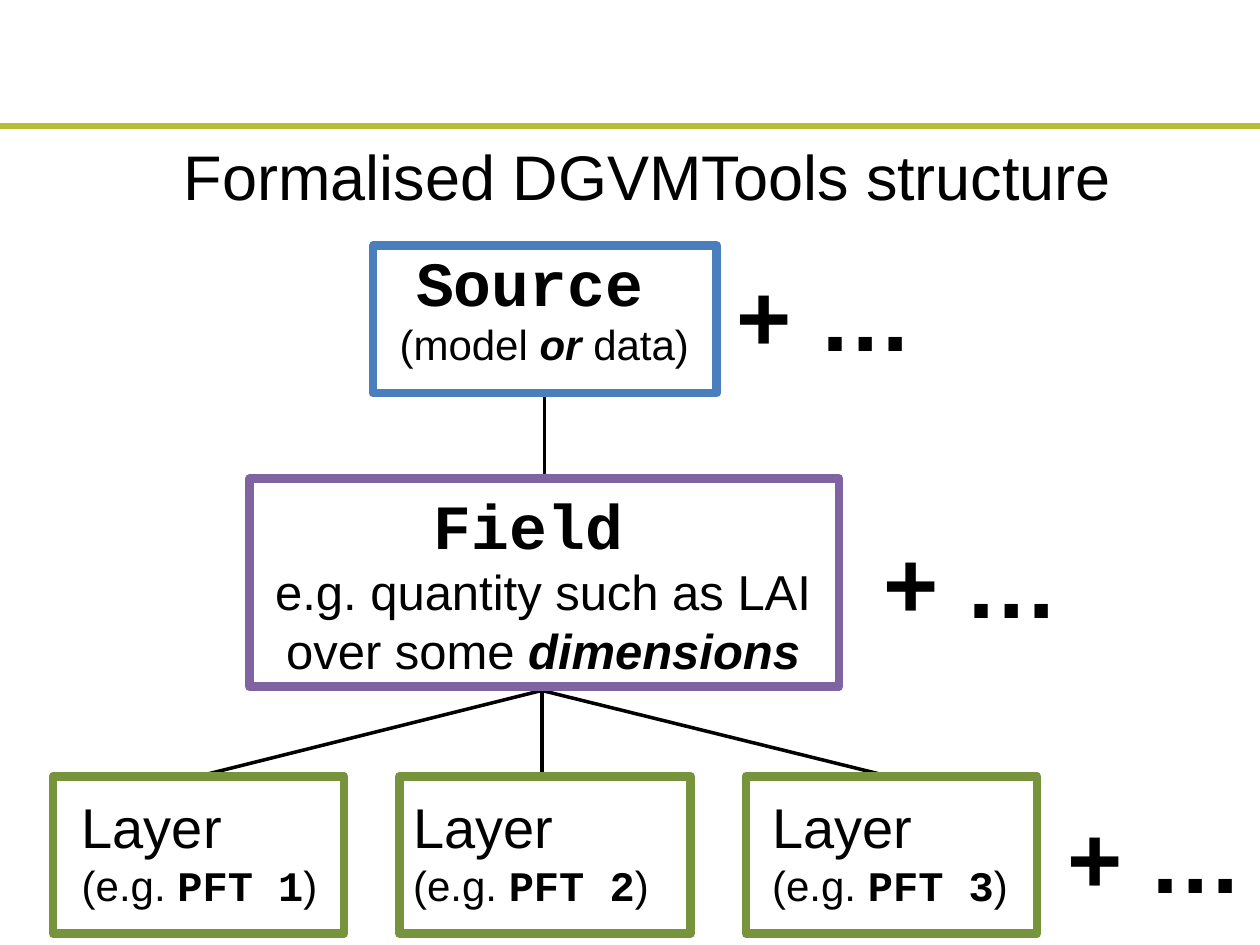
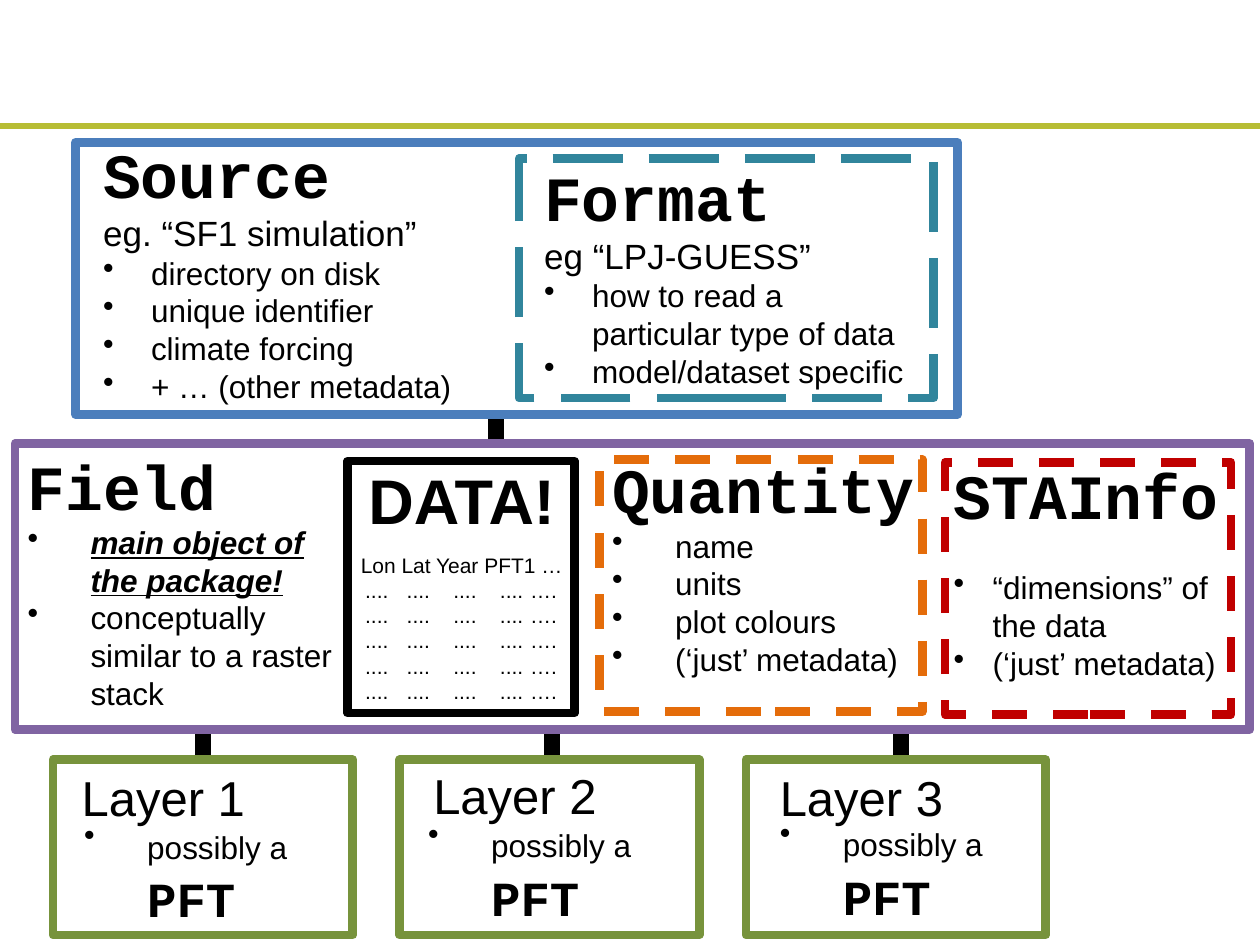
from lxml import etree
from pptx import Presentation
from pptx.dml.color import RGBColor
from pptx.enum.dml import MSO_LINE
from pptx.enum.shapes import MSO_CONNECTOR, MSO_SHAPE
from pptx.enum.text import MSO_AUTO_SIZE, PP_ALIGN
from pptx.oxml.ns import qn
from pptx.util import Inches, Pt

STRAIGHT = MSO_CONNECTOR.STRAIGHT
RECTANGLE = MSO_SHAPE.RECTANGLE
DASH, LONG_DASH = MSO_LINE.DASH, MSO_LINE.LONG_DASH
GROW = MSO_AUTO_SIZE.SHAPE_TO_FIT_TEXT
CENTER, LEFT = PP_ALIGN.CENTER, PP_ALIGN.LEFT

SANS, MONO = "Arial", "Courier New"
BLACK, BAND = "000000", "B7BD34"
SOURCE, FIELD, LAYER = "4B7EBC", "8064A2", "77933C"
FORMAT, QUANTITY, STAINFO = "31859C", "E46C0A", "C00000"
DATA_TABS = (0.1, 0.43, 0.8, 1.17, 1.41)
BOX_WIDTH = 5


def set_color(color_format, hex_color):
    color_format.rgb = RGBColor.from_string(hex_color)


def add_text(slide, place, paragraphs):
    """Add a text box. A paragraph is (options, runs), a run is (text, size, flags).

    Flags: m monospaced, b bold, i italic, u underlined. The text "\\v" breaks a line.
    """
    box = slide.shapes.add_textbox(*map(Inches, place))
    frame = box.text_frame
    frame.word_wrap = True
    frame.auto_size = GROW
    for index, (options, runs) in enumerate(paragraphs):
        paragraph = frame.paragraphs[0] if index == 0 else frame.add_paragraph()
        paragraph.alignment = options.get("align", LEFT)
        paragraph.space_before = Pt(options.get("before", 0))
        properties = paragraph._p.get_or_add_pPr()
        if "bullet" in options:
            indent = Inches(options["bullet"])
            properties.set("marL", str(indent))
            properties.set("indent", str(-indent))
            etree.SubElement(properties, qn("a:buChar"), char="•")
        if "tabs" in options:
            tab_list = etree.SubElement(properties, qn("a:tabLst"))
            for position in options["tabs"]:
                etree.SubElement(tab_list, qn("a:tab"), pos=str(Inches(position)), algn="l")
        for text, size, flags in runs:
            if text == "\v":
                paragraph.add_line_break()
                continue
            run = paragraph.add_run()
            run.text = text
            run.font.size = Pt(size)
            run.font.name = MONO if "m" in flags else SANS
            run.font.bold = "b" in flags
            run.font.italic = "i" in flags
            run.font.underline = "u" in flags
            set_color(run.font.color, BLACK)


presentation = Presentation()
presentation.slide_width = Inches(10)
presentation.slide_height = Inches(7.5)
blank_layout = presentation.slide_layouts[6]

plain, centered = {}, {"align": CENTER}
wide_bullet, bullet, narrow_bullet = {"bullet": 0.5}, {"bullet": 0.38}, {"bullet": 0.31}

# Slide 1: the structure as a tree
tree_lines = [
    (4.3, 5.48, 7.09, 6.17, BLACK, 2),
    (4.3, 5.48, 1.58, 6.16, BLACK, 2),
    (4.3, 5.48, 4.3, 6.19, BLACK, 2),
    (4.32, 3.11, 4.32, 3.8, BLACK, 2),
]
tree_boxes = [
    (2.96, 1.95, 2.73, 1.17, SOURCE, None),
    (1.98, 3.8, 4.68, 1.65, FIELD, None),
]
tree_texts = [
    ((0.58, 1.04, 9.12, 0.71), [(centered, [("Formalised DGVMTools structure", 36, "")])]),
    ((2.76, 1.88, 3.12, 1.11), [(centered, [
        ("Source", 36, "mb"), (" ", 28, "m"), ("\v", 28, ""),
        ("(model ", 24, ""), ("or", 24, "bi"), (" data)", 24, "")])]),
    ((2.05, 3.81, 4.52, 1.65), [(centered, [
        ("Field", 36, "mb"), (" ", 28, "m"), ("\v", 28, ""),
        ("e.g. quantity such as LAI over some ", 28, ""), ("dimensions", 28, "bi")])]),
]
for left, top in ((5.75, 1.99), (6.91, 4.11), (8.37, 6.29)):
    tree_texts.append(((left, top, 2.08, 1.01), [(plain, [("+ …", 54, "b")])]))
for index, text_left in enumerate((0.55, 3.18, 6.03)):
    tree_boxes.append((0.42 + 2.75 * index, 6.16, 2.31, 1.25, LAYER, None))
    tree_texts.append(((text_left, 6.24, 2.21, 1.04), [
        (plain, [("Layer", 32, "")]),
        (plain, [("(e.g. ", 24, ""), (f"PFT {index + 1}", 24, "mb"), (")", 24, "")])]))

# Slide 2: what each object holds
detail_lines = [(3.94, 3.31, 3.94, 3.5, BLACK, 9.25)]
detail_boxes = [
    (0.12, 3.52, 9.8, 2.27, FIELD, None),
    (0.6, 1.13, 7, 2.16, SOURCE, None),
    (2.76, 3.66, 1.8, 2, BLACK, None),
    (7.5, 3.67, 2.27, 2, STAINFO, DASH),
    (4.76, 3.65, 2.56, 2, QUANTITY, DASH),
    (4.12, 1.26, 3.29, 1.9, FORMAT, LONG_DASH),
]
source_items = ("directory on disk", "unique identifier", "climate forcing",
                "+ … (other metadata)")
format_items = ("how to read a particular type of data", "model/dataset specific")
quantity_items = ("name", "units", "plot colours", "(‘just’ metadata)")
data_row = ({"tabs": DATA_TABS}, [("\t....\t....\t....\t....\t….", 12, "")])
detail_texts = [
    ((0.72, 1.03, 3.91, 2.26), [
        (plain, [("Source", 36, "mb")]),
        (plain, [("eg. “SF1 simulation”", 20, "")]),
        *[(bullet, [(item, 18, "")]) for item in source_items]]),
    ((4.22, 1.21, 3.11, 1.95), [
        (plain, [("Format", 36, "mb")]),
        (plain, [("eg “LPJ-GUESS”", 20, "")]),
        *[(bullet, [(item, 18, "")]) for item in format_items]]),
    ((0.12, 3.5, 2.72, 2.22), [
        (plain, [("Field", 36, "mb")]),
        (wide_bullet, [("main object of the package!", 18, "biu")]),
        (wide_bullet, [("conceptually similar to a raster stack", 18, "")])]),
    ((2.7, 3.61, 1.93, 2.05), [
        (centered, [("DATA!", 36, "b")]),
        ({"align": CENTER, "before": 9}, [("Lon Lat Year PFT1 …", 12, "")]),
        *[data_row] * 5]),
    ((4.76, 3.53, 2.65, 1.92), [
        (plain, [("Quantity", 36, "mb")]),
        *[(wide_bullet, [(item, 18, "")]) for item in quantity_items]]),
    ((7.47, 3.57, 2.31, 1.92), [
        (plain, [("STAInfo", 36, "mb")]),
        ({**narrow_bullet, "before": 21}, [("“dimensions” of the data", 18, "")]),
        (narrow_bullet, [("(‘just’ metadata)", 18, "")])]),
]
layer_places = (((0.55, 6.04), (0.57, 6.38)),
                ((3.34, 6.03), (3.3, 6.37)),
                ((6.09, 6.04), (6.09, 6.36)))
for index, (name_place, note_place) in enumerate(layer_places):
    line_x = 1.61 + 2.77 * index
    detail_lines.append((line_x, 5.82, line_x, 6.01, BLACK, 9.25))
    detail_boxes.append((0.42 + 2.75 * index, 6.03, 2.38, 1.39, LAYER, None))
    detail_texts.append(((*name_place, 2.29, 0.57),
                         [(plain, [(f"Layer {index + 1}", 28, "")])]))
    detail_texts.append(((*note_place, 2.29, 1.51), [(wide_bullet, [
        ("possibly a", 18, ""), (" ", 28, ""), ("PFT", 28, "mb")])]))

band_line = (-0.23, 1, 10.21, 1, BAND, 4)
for lines, boxes, texts in ((tree_lines, tree_boxes, tree_texts),
                            (detail_lines, detail_boxes, detail_texts)):
    slide = presentation.slides.add_slide(blank_layout)
    for *ends, color, width in [band_line, *lines]:
        connector = slide.shapes.add_connector(STRAIGHT, *map(Inches, ends))
        set_color(connector.line.color, color)
        connector.line.width = Pt(width)
        etree.SubElement(connector._element.spPr, qn("a:effectLst"))
    for *place, color, dash in boxes:
        shape = slide.shapes.add_shape(RECTANGLE, *map(Inches, place))
        shape.shadow.inherit = False
        shape.fill.background()
        set_color(shape.line.color, color)
        shape.line.width = Pt(BOX_WIDTH)
        if dash:
            shape.line.dash_style = dash
    for place, paragraphs in texts:
        add_text(slide, place, paragraphs)

presentation.save("out.pptx")
